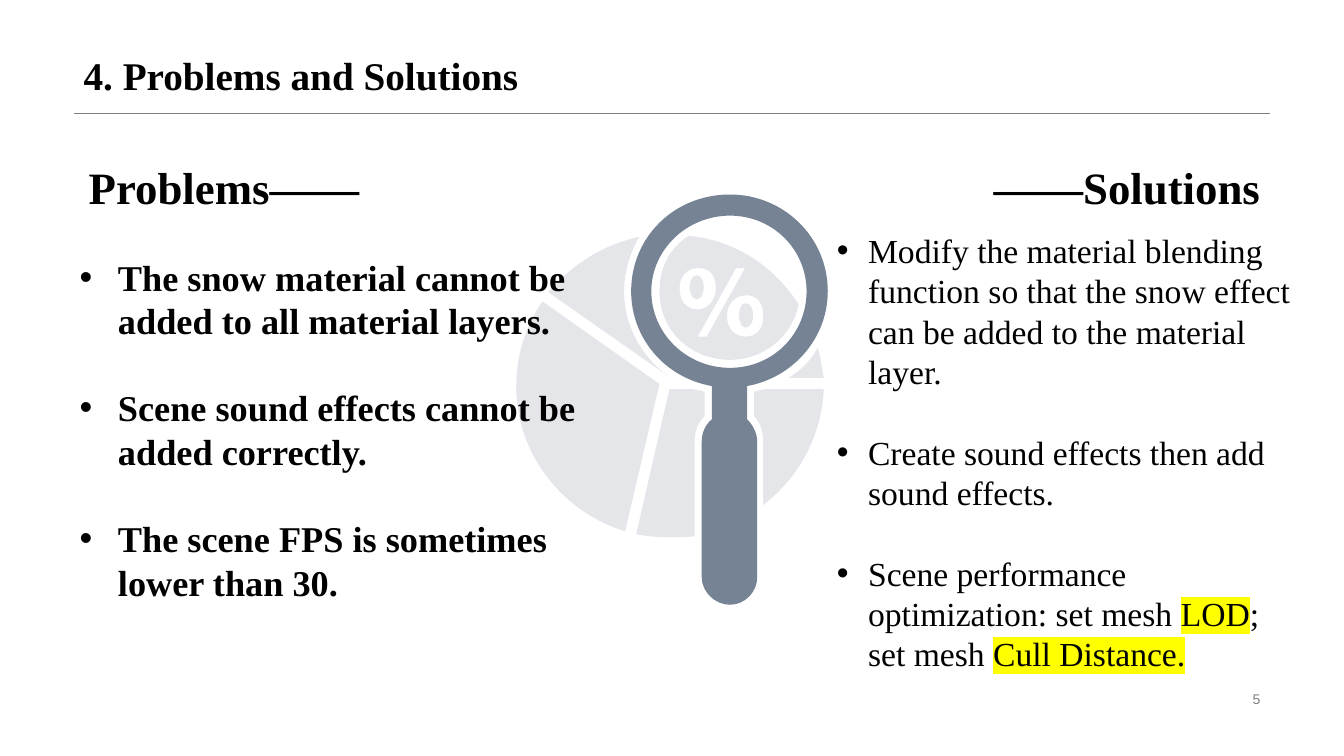
from lxml import etree
from pptx import Presentation
from pptx import util as u
from pptx.dml.color import RGBColor
from pptx.enum import shapes, text
from pptx.oxml.ns import qn

PX = 9144  # 100 px to the inch
BLACK = RGBColor(0, 0, 0)
GRAY = RGBColor(0x80, 0x80, 0x80)
PALE = RGBColor(0xE4, 0xE6, 0xEA)
SLATE = RGBColor(0x76, 0x83, 0x94)
YELLOW = RGBColor(0xFF, 0xFF, 0)
SERIF = "Times New Roman"
ALIGN = text.PP_ALIGN
ANCHOR = text.MSO_ANCHOR

# Outlines in px: each contour starts at a point; 2 numbers make a line, 6 a curve
SLICES = [
    [(782, 375), (817, 375), (815, 365, 814, 354, 811, 345),
     (805, 357, 794, 368, 782, 375)],
    [(538, 299), (521, 324, 512, 353, 512, 383),
     (512, 451, 558, 508, 620, 527), (654, 381)],
    [(664, 374), (637, 355, 619, 324, 619, 289),
     (619, 269, 625, 251, 634, 235), (597, 243, 567, 263, 544, 290)],
    [(699, 389), (695, 387, 690, 387, 687, 386), (664, 386), (631, 530),
     (641, 532, 652, 533, 664, 533), (672, 533, 681, 533, 689, 532),
     (689, 438), (689, 428, 692, 419, 699, 413)],
    [(748, 389), (748, 413), (754, 419, 757, 428, 757, 438), (757, 501),
     (792, 474, 815, 433, 817, 386), (760, 386),
     (756, 387, 751, 387, 748, 389)],
]
GLASS = [
    [(741, 416), (741, 383), (786, 375, 821, 336, 821, 289),
     (821, 235, 777, 193, 724, 193), (669, 193, 626, 235, 626, 289),
     (626, 336, 660, 375, 706, 383), (706, 416),
     (699, 422, 696, 430, 696, 438), (696, 573),
     (696, 587, 709, 600, 724, 600), (739, 600, 751, 587, 751, 573),
     (751, 438), (751, 430, 747, 422, 741, 416)],
    [(646, 289), (646, 248, 681, 214, 724, 214),
     (767, 214, 800, 248, 800, 289), (800, 331, 767, 365, 724, 365),
     (681, 365, 646, 331, 646, 289)],
]
ZERO = [
    [(739, 301), (735, 301, 733, 307, 733, 313),
     (733, 320, 736, 325, 739, 325), (744, 325, 747, 320, 747, 313),
     (747, 307, 745, 301, 739, 301)],
]
LENS = [
    [(683, 234), (664, 246, 654, 266, 654, 289),
     (654, 327, 684, 357, 724, 357), (757, 357, 786, 334, 792, 302),
     (768, 264, 728, 238, 683, 234)],
    [(674, 286), (674, 275, 681, 266, 692, 266),
     (704, 266, 710, 273, 710, 286), (710, 299, 701, 307, 692, 307),
     (681, 307, 674, 299, 674, 286)],
    [(692, 334), (730, 266), (739, 266), (701, 334)],
    [(739, 334), (730, 334, 721, 327, 721, 314),
     (721, 302, 728, 293, 741, 293), (751, 293, 757, 301, 757, 313),
     (757, 327, 750, 334, 739, 334)],
]

PROBLEMS = [
    "The snow material cannot be added to all material layers.",
    "Scene sound effects cannot be added correctly.",
    "The scene FPS is sometimes lower than 30.",
]
# Bars enclose highlighted words
FIXES = [
    "Modify the material blending function so that the snow effect "
    "can be added to the material layer.",
    "Create sound effects then add sound effects.",
    "Scene performance optimization: set mesh |LOD|; set mesh "
    "|Cull Distance.|",
]


def place(shape, left, top, width, height):
    shape.left, shape.top = left * PX, top * PX
    shape.width, shape.height = width * PX, height * PX


def mark(run):
    fill = run.font._element.find(qn("a:solidFill"))
    tint = etree.Element(qn("a:highlight"))
    etree.SubElement(tint, qn("a:srgbClr")).set("val", str(YELLOW))
    fill.addnext(tint)


def write(shape, lines, size, font=SERIF, color=BLACK, bold=False,
          align=ALIGN.LEFT, anchor=ANCHOR.TOP, lead=1.0, gap=0, hang=0):
    frame = shape.text_frame
    frame.word_wrap = True
    frame.auto_size = text.MSO_AUTO_SIZE.NONE
    frame.vertical_anchor = anchor
    for i, line in enumerate(lines):
        para = frame.add_paragraph() if i else frame.paragraphs[0]
        if hang:
            props = para._p.get_or_add_pPr()
            props.set("marL", str(hang * PX))
            props.set("indent", str(-hang * PX))
            etree.SubElement(props, qn("a:buChar")).set("char", "•")
        para.alignment = align
        para.line_spacing = lead
        para.space_before = u.Pt(gap if i else 0)
        for j, part in enumerate(line.split("|")):
            if not part:
                continue
            run = para.add_run()
            run.text = part
            run.font.size, run.font.name = u.Pt(size), font
            run.font.bold = bold
            run.font.color.rgb = color
            if j % 2:
                mark(run)


def paint(shape, color):
    shape.shadow.inherit = False
    shape.fill.solid()
    shape.fill.fore_color.rgb = color
    shape.line.fill.background()


def bend(shape, parts):
    """Turn the straight sides that stand for curves into curves."""
    sides = list(shape._element.iter(qn("a:lnTo")))
    for side, part in zip(sides, parts):
        if len(part) == 2:
            continue
        curve = etree.Element(qn("a:cubicBezTo"))
        for x, y in zip(part[::2], part[1::2]):
            spot = etree.SubElement(curve, qn("a:pt"))
            spot.set("x", str(x * PX - shape.left))
            spot.set("y", str(y * PX - shape.top))
        side.getparent().replace(side, curve)


def outline(group, rings, color):
    x, y = rings[0][0]
    pen = group.shapes.build_freeform(x, y, scale=PX)
    for i, (start, *parts) in enumerate(rings):
        if i:
            pen.move_to(*start)
        pen.add_line_segments([part[-2:] for part in parts], close=False)
        pen.add_line_segments([], close=True)
    shape = pen.convert_to_shape()
    paint(shape, color)
    # Path units are px until scaled to the shape's own EMU size
    track = next(shape._element.iter(qn("a:path")))
    for spot in track.iter(qn("a:pt")):
        for key in ("x", "y"):
            spot.set(key, str(int(spot.get(key)) * PX))
    track.set("w", str(shape.width))
    track.set("h", str(shape.height))
    bend(shape, [part for ring in rings for part in ring[1:]])


def draw_art(slide):
    group = slide.shapes.add_group_shape()
    for piece in SLICES:
        outline(group, [piece], PALE)
    outline(group, GLASS, SLATE)
    zero = group.shapes.add_shape(shapes.MSO_SHAPE.OVAL, 684 * PX, 273 * PX,
                                  14 * PX, 24 * PX)
    paint(zero, PALE)
    outline(group, ZERO, PALE)
    outline(group, LENS, PALE)
    # Keep the art behind the text
    slide.shapes._spTree.insert(2, group._element)


def draw_rule(slide, left, right, y):
    rule = slide.shapes.add_connector(shapes.MSO_CONNECTOR.STRAIGHT,
                                      left * PX, y * PX, right * PX, y * PX)
    rule.line.color.rgb = GRAY
    rule.line.width = u.Pt(0.25)
    etree.SubElement(rule._element.spPr, qn("a:effectLst"))


def main():
    deck = Presentation()
    deck.slide_width, deck.slide_height = u.Inches(13.33), u.Inches(7.5)
    slide = deck.slides.add_slide(deck.slide_layouts[4])
    title, left, probs, right, fixes = slide.placeholders

    # Title and rule
    place(title, 73, -9, 1187, 112)
    write(title, ["4. Problems and Solutions"], 28, bold=True,
          anchor=ANCHOR.BOTTOM, lead=0.9)
    draw_rule(slide, 73, 1260, 112)

    # Pie under a magnifying glass
    draw_art(slide)

    # Problems
    place(left, 78, 153, 416, 122)
    write(left, ["Problems——"], 32, bold=True)
    place(probs, 69, 248, 535, 379)
    write(probs, PROBLEMS, 25.9, bold=True, gap=31.1, hang=38)

    # Solutions
    place(right, 844, 153, 416, 74)
    write(right, ["——Solutions"], 32, bold=True, align=ALIGN.RIGHT)
    place(fixes, 820, 223, 479, 407)
    write(fixes, FIXES, 24, gap=28.9, hang=31)

    # Slide number
    number = slide.shapes.add_textbox(942 * PX, 682 * PX, 318 * PX, 23 * PX)
    write(number, ["5"], 10, font="Arial", color=GRAY, align=ALIGN.RIGHT,
          anchor=ANCHOR.MIDDLE)
    deck.save("out.pptx")


if __name__ == "__main__":
    main()
